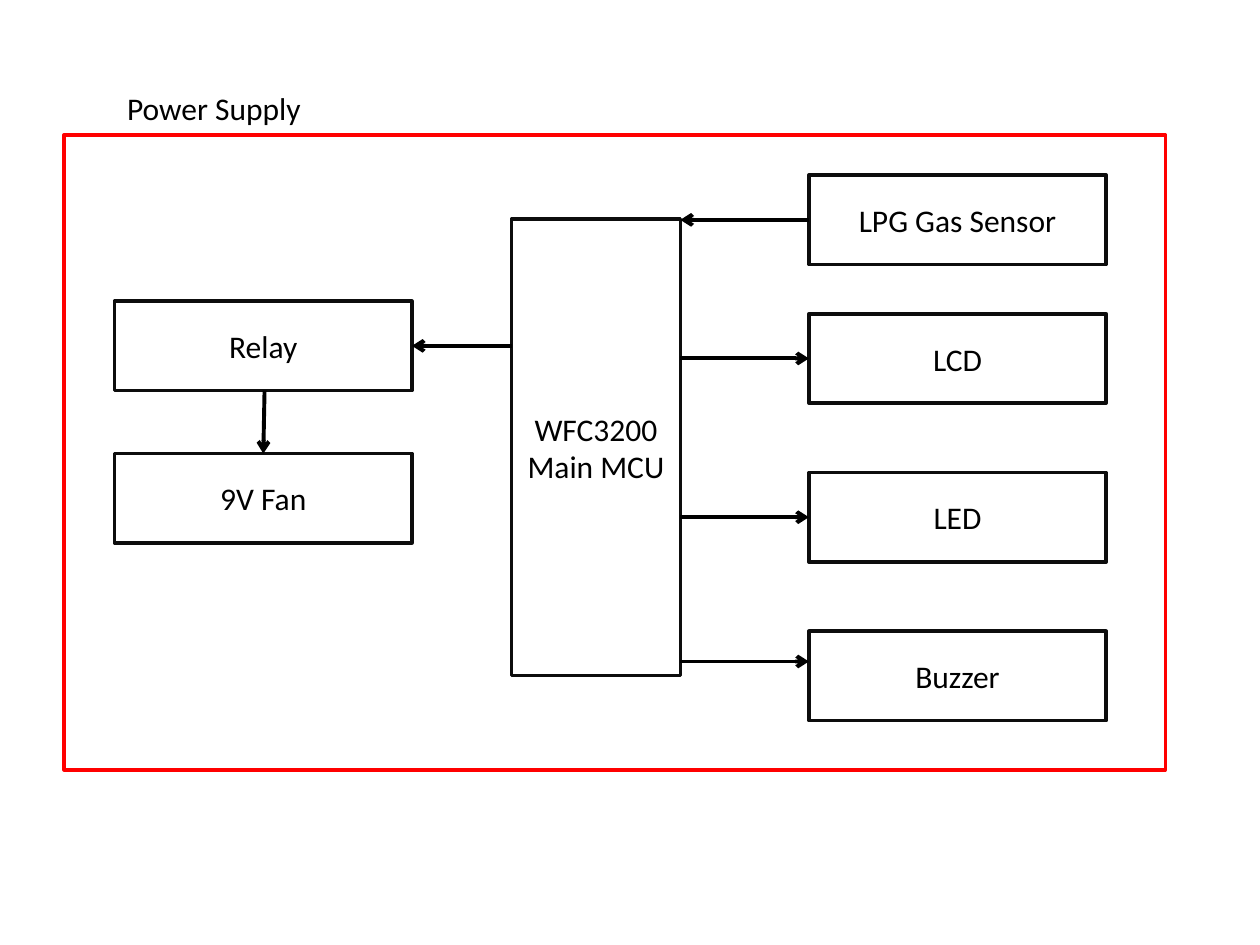
from dataclasses import dataclass

from lxml import etree
from pptx import Presentation
from pptx.dml.color import RGBColor
from pptx.enum import shapes, text
from pptx.oxml import ns
from pptx.util import Inches, Pt


@dataclass(frozen=True)
class Theme:
    font: str = "Calibri"
    size: int = 18
    ink: str = "000000"
    outline: str = "0D0D0D"
    supply: str = "FF0000"
    outline_width: float = 2
    arrow_width: float = 2.25


@dataclass(frozen=True)
class Box:
    left: float
    top: float
    width: float
    height: float

    @property
    def right(self):
        return self.left + self.width

    @property
    def bottom(self):
        return self.top + self.height

    @property
    def center(self):
        return self.left + self.width / 2

    @property
    def middle(self):
        return self.top + self.height / 2

    def lengths(self):
        return [Inches(v) for v in (self.left, self.top, self.width, self.height)]


THEME = Theme()
BLOCK_WIDTH, BLOCK_HEIGHT = 2.36, 0.71
PERIPHERALS = {"LPG Gas Sensor": 1.39, "LCD": 2.49, "LED": 3.75, "Buzzer": 5.01}
FAN_DRIVE = {"Relay": 2.39, "9V Fan": 3.6}
BUZZER_PORT = 5.25


def write(frame, words, alignment):
    paragraph = frame.paragraphs[0]
    paragraph.alignment = alignment
    run = paragraph.add_run()
    run.text = words
    for name, value in {"name": THEME.font, "size": Pt(THEME.size)}.items():
        setattr(run.font, name, value)
    run.font.color.rgb = RGBColor.from_string(THEME.ink)


def add_block(slide, box, words="", color=THEME.outline):
    shape = slide.shapes.add_shape(shapes.MSO_SHAPE.RECTANGLE, *box.lengths())
    shape.shadow.inherit = False
    shape.fill.background()
    shape.line.color.rgb = RGBColor.from_string(color)
    shape.line.width = Pt(THEME.outline_width)
    if words:
        shape.text_frame.word_wrap = True
        shape.text_frame.vertical_anchor = text.MSO_ANCHOR.MIDDLE
        write(shape.text_frame, words, text.PP_ALIGN.CENTER)


def add_arrow(slide, start, end):
    points = [Inches(v) for v in (*start, *end)]
    connector = slide.shapes.add_connector(shapes.MSO_CONNECTOR.STRAIGHT, *points)
    connector.line.color.rgb = RGBColor.from_string(THEME.ink)
    connector.line.width = Pt(THEME.arrow_width)
    etree.SubElement(connector.line._get_or_add_ln(), ns.qn("a:tailEnd"), type="arrow")
    etree.SubElement(connector._element.spPr, ns.qn("a:effectLst"))


def add_column(slide, left, tops):
    """Stack equal blocks at the given tops and return their boxes by name."""
    boxes = {name: Box(left, top, BLOCK_WIDTH, BLOCK_HEIGHT) for name, top in tops.items()}
    for name, box in boxes.items():
        add_block(slide, box, name)
    return boxes


def add_supply(slide, box):
    add_block(slide, box, color=THEME.supply)
    label = slide.shapes.add_textbox(*Box(box.left + 0.4, box.top - 0.41, 1.65, 0.4).lengths())
    label.text_frame.word_wrap = False
    label.text_frame.auto_size = text.MSO_AUTO_SIZE.SHAPE_TO_FIT_TEXT
    write(label.text_frame, "Power Supply", text.PP_ALIGN.LEFT)


def add_peripherals(slide, left, controller):
    boxes = add_column(slide, left, PERIPHERALS)
    for name, box in boxes.items():
        height = BUZZER_PORT if name == "Buzzer" else box.middle
        ends = [(controller.right, height), (box.left, height)]
        if name == "LPG Gas Sensor":
            ends.reverse()
        add_arrow(slide, *ends)


def add_fan_drive(slide, left, controller):
    boxes = add_column(slide, left, FAN_DRIVE)
    relay, fan = boxes["Relay"], boxes["9V Fan"]
    add_arrow(slide, (controller.left, relay.middle), (relay.right, relay.middle))
    add_arrow(slide, (relay.center + 0.01, relay.bottom), (fan.center, fan.top))


def main():
    presentation = Presentation()
    presentation.slide_width, presentation.slide_height = Inches(10), Inches(7.5)
    slide = presentation.slides.add_slide(presentation.slide_layouts[6])

    controller = Box(4.06, 1.74, 1.34, 3.62)
    add_block(slide, controller, "WFC3200 Main MCU")
    add_peripherals(slide, 6.42, controller)
    add_fan_drive(slide, 0.91, controller)
    add_supply(slide, Box(0.51, 1.07, 8.74, 5.04))

    presentation.save("out.pptx")


if __name__ == "__main__":
    main()
